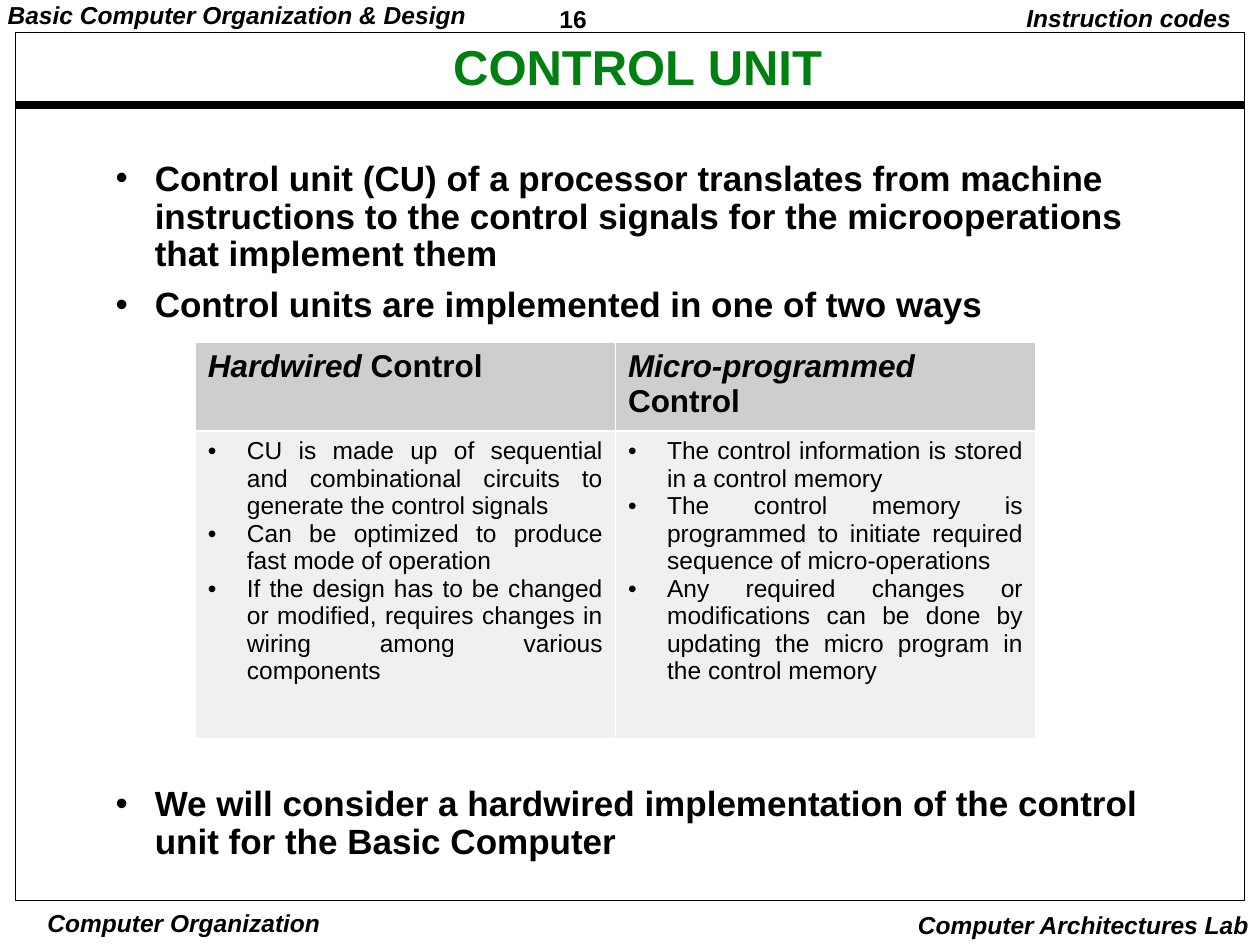
from lxml import etree
from pptx import Presentation
from pptx.dml.color import RGBColor
from pptx.enum.shapes import MSO_CONNECTOR, MSO_SHAPE
from pptx.enum.text import MSO_AUTO_SIZE, PP_ALIGN
from pptx.oxml.ns import qn
from pptx.util import Inches, Pt

LEFT, CENTER, RIGHT, JUSTIFY = PP_ALIGN.LEFT, PP_ALIGN.CENTER, PP_ALIGN.RIGHT, PP_ALIGN.JUSTIFY
STRAIGHT, RECT, FIXED = MSO_CONNECTOR.STRAIGHT, MSO_SHAPE.RECTANGLE, MSO_AUTO_SIZE.NONE
BLACK, WHITE, GREEN = "000000", "FFFFFF", "008011"
HEAD_FILL, BODY_FILL = "7F7F7F", "D9D9D9"
HANG = Inches(0.31)


def rgb(value):
    return RGBColor.from_string(value)


def grid(*cells):
    """Lengths on a grid of 100 columns by 75 rows, 0.1 inch each."""
    return [Inches(c / 10) for c in cells]


class Deck:
    font = "Arial"

    def __init__(self):
        self.prs = Presentation()
        self.prs.slide_width, self.prs.slide_height = grid(100, 75)
        self.s = self.prs.slides.add_slide(self.prs.slide_layouts[6])

    def run(self, p, text, size, color=BLACK, bold=True, italic=False):
        r = p.add_run()
        r.text = text
        f = r.font
        f.name, f.size, f.bold, f.italic = self.font, Pt(size), bold, italic
        f.color.rgb = rgb(color)

    def bullet(self, p):
        pPr = p._p.get_or_add_pPr()
        pPr.set("marL", str(HANG))
        pPr.set("indent", str(-HANG))
        color = etree.SubElement(pPr, qn("a:buClr"))
        etree.SubElement(color, qn("a:srgbClr"), val=BLACK)
        etree.SubElement(pPr, qn("a:buFont"), typeface=self.font)
        etree.SubElement(pPr, qn("a:buChar"), char="•")

    def frame(self, at, inset):
        tf = self.s.shapes.add_textbox(*grid(*at)).text_frame
        tf.margin_left = tf.margin_right = Inches(inset[0])
        tf.margin_top = tf.margin_bottom = Inches(inset[1])
        tf.word_wrap, tf.auto_size = True, FIXED
        return tf

    def label(self, text, at, inset, align=LEFT, spacing=0.9, size=14,
              color=BLACK, italic=True):
        p = self.frame(at, inset).paragraphs[0]
        p.alignment, p.line_spacing = align, spacing
        self.run(p, text, size, color, italic=italic)

    def bullets(self, items, at):
        """Each item is a text and the space before it in points."""
        tf = self.frame(at, (0.1, 0.05))
        for i, (text, before) in enumerate(items):
            p = tf.paragraphs[0] if i == 0 else tf.add_paragraph()
            p.line_spacing, p.space_before = 0.9, Pt(before)
            self.bullet(p)
            self.run(p, text, 20)

    def line(self, start, end, width):
        c = self.s.shapes.add_connector(STRAIGHT, *grid(*start, *end))
        c.line.color.rgb, c.line.width = rgb(BLACK), Pt(width)
        etree.SubElement(c._element.spPr, qn("a:effectLst"))

    def border(self, at, width):
        sp = self.s.shapes.add_shape(RECT, *grid(*at))
        sp.shadow.inherit = False
        sp.fill.background()
        sp.line.color.rgb, sp.line.width = rgb(BLACK), Pt(width)

    def paint(self, cell, fill, top, bottom):
        """Translucent fill and white cell borders."""
        cell.fill.solid()
        cell.fill.fore_color.rgb = rgb(fill)
        tcPr = cell._tc.get_or_add_tcPr()
        etree.SubElement(tcPr.find(".//" + qn("a:srgbClr")), qn("a:alpha"), val="38000")
        sides = (("L", 0.45), ("R", 0.45), ("T", top), ("B", bottom))
        for i, (side, width) in enumerate(sides):
            ln = etree.Element(qn("a:ln" + side), w=str(Pt(width)))
            solid = etree.SubElement(ln, qn("a:solidFill"))
            etree.SubElement(solid, qn("a:srgbClr"), val=WHITE)
            tcPr.insert(i, ln)

    def table(self, columns, at, heights):
        """Each column is an emphasised word, the rest of its head, and its points."""
        tb = self.s.shapes.add_table(2, len(columns), *grid(*at)).table
        tb.first_row = tb.horz_banding = False
        for row, height in zip(tb.rows, grid(*heights)):
            row.height = height
        for col, (word, rest, points) in enumerate(columns):
            head, body = tb.cell(0, col), tb.cell(1, col)
            self.paint(head, HEAD_FILL, 0.45, 1.47)
            self.paint(body, BODY_FILL, 1.47, 0.45)
            p = head.text_frame.paragraphs[0]
            self.run(p, word, 18, italic=True)
            self.run(p, rest, 18)
            tf = body.text_frame
            for i, text in enumerate(points):
                p = tf.paragraphs[0] if i == 0 else tf.add_paragraph()
                p.alignment = JUSTIFY
                self.bullet(p)
                self.run(p, text, 14, bold=False)


def main():
    d = Deck()
    slim, wide = (0.07, 0.03), (0.1, 0.05)

    # Header and footer
    d.label("16", (43.7, 0, 10.8, 2.9), slim, spacing=1.01, italic=False)
    d.label("Basic Computer Organization & Design", (-0.1, 0, 39.8, 2.7), slim)
    d.label("Computer Organization", (2.6, 72, 24, 2.6), (0.03, 0.01), CENTER, 1)
    d.label("Computer Architectures Lab", (70.1, 71.7, 30, 3.3), wide, RIGHT, 1)

    # Page border and rule under the title
    d.line((1.3, 8.3), (98.7, 8.3), 4.5)
    d.border((1.25, 2.6, 97.5, 68.9), 0.5)

    # Title and topic
    d.label("CONTROL UNIT", (35.2, 3.25, 30.8, 4.6), slim, CENTER, 0.87, 28,
            GREEN, italic=False)
    d.label("Instruction codes", (78.7, 0, 20, 3.1), wide, RIGHT)

    # Main points, leaving room for the table before the last one
    d.bullets([
        ("Control unit (CU) of a processor translates from machine instructions "
         "to the control signals for the microoperations that implement them", 0),
        ("Control units are implemented in one of two ways", 7.5),
        ("We will consider a hardwired implementation of the control unit "
         "for the Basic Computer", 263.5),
    ], (8.2, 12.3, 84.9, 59.3))

    # Comparison of the two kinds of control
    d.table([
        ("Hardwired", " Control", [
            "CU is made up of sequential and combinational circuits to generate "
            "the control signals",
            "Can be optimized to produce fast mode of operation",
            "If the design has to be changed or modified, requires changes in "
            "wiring among various components"]),
        ("Micro-programmed", " Control", [
            "The control information is stored in a control memory",
            "The control memory is programmed to initiate required sequence of "
            "micro-operations",
            "Any required changes or modifications can be done by updating the "
            "micro program in the control memory"]),
    ], (15.5, 27.2, 66.7, 31.4), (7, 24.4))

    d.prs.save("out.pptx")


if __name__ == "__main__":
    main()
